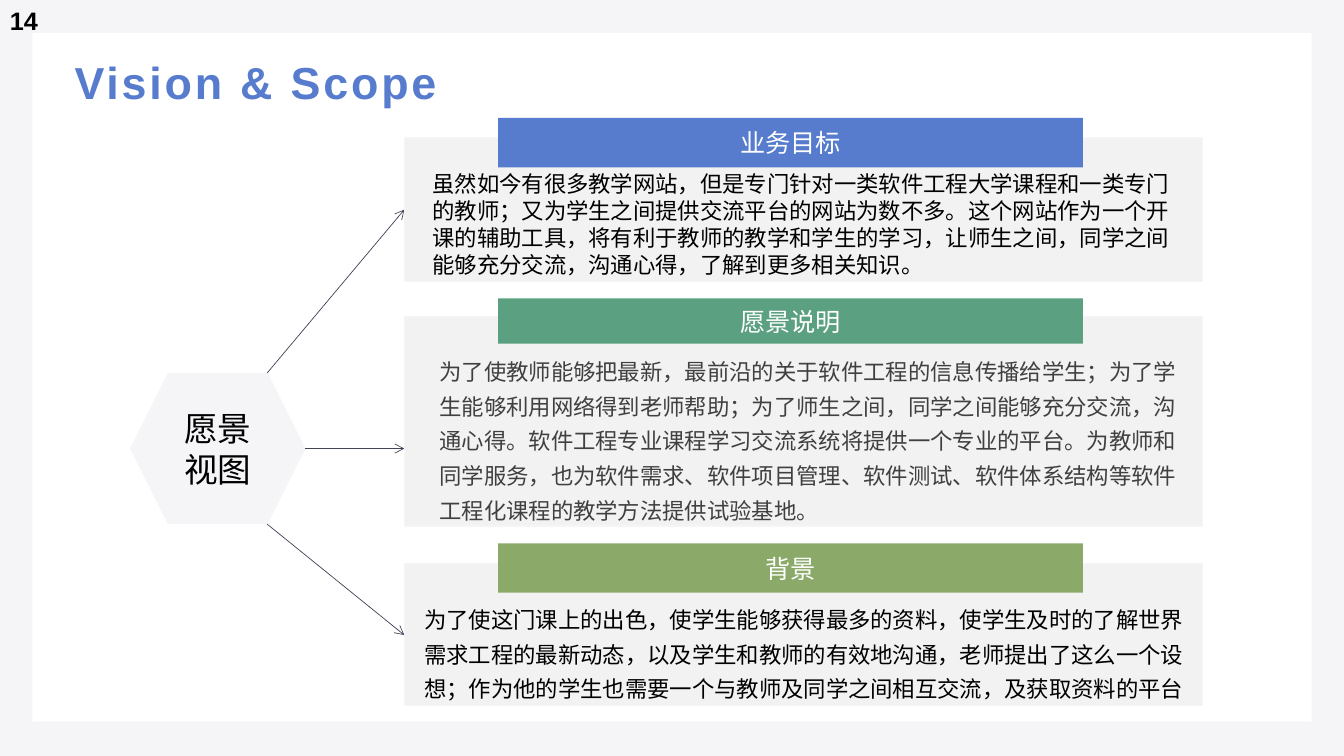
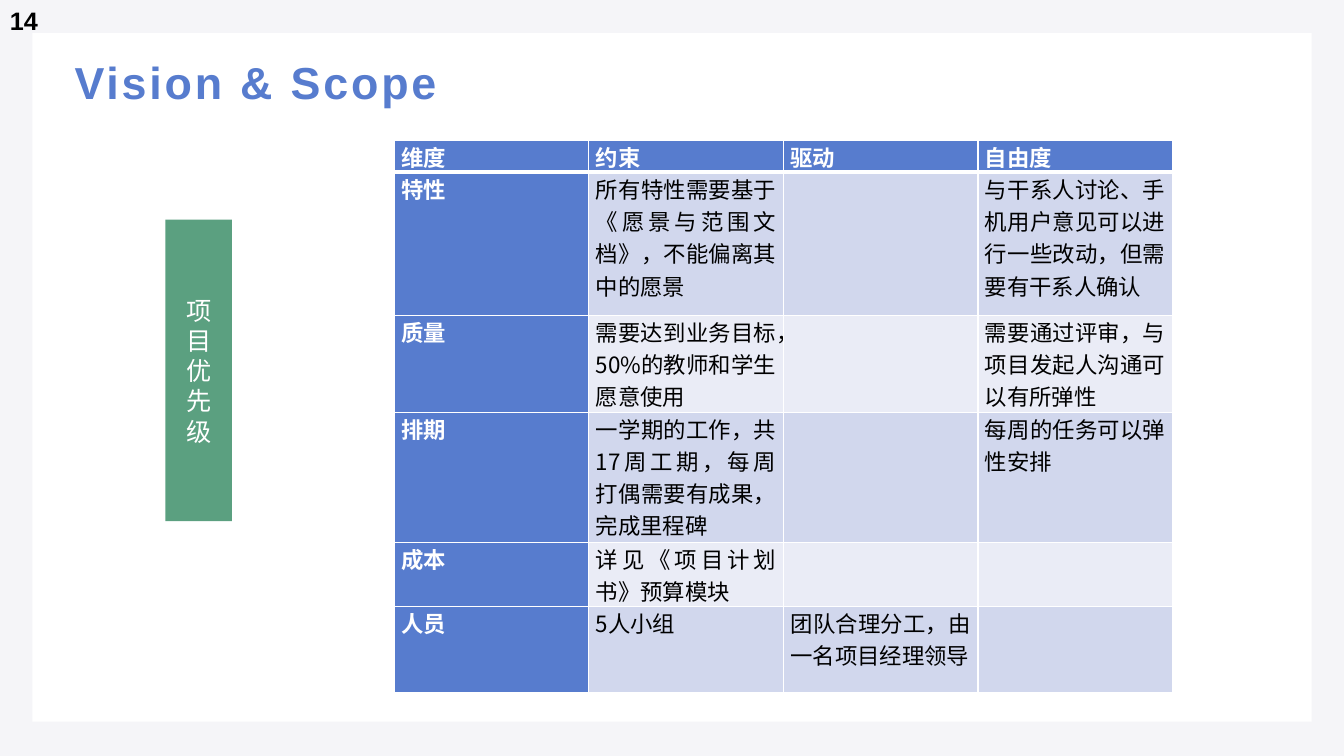
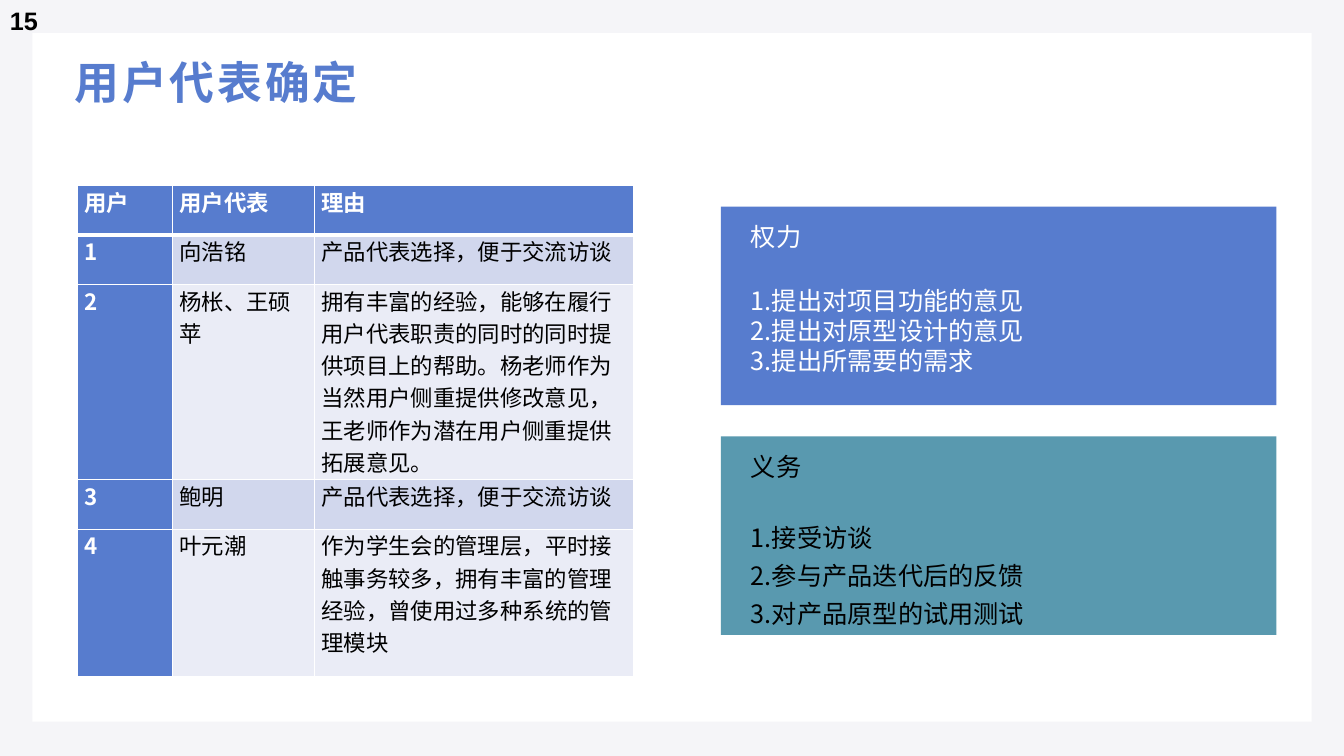
from pptx import Presentation
from pptx.dml.color import RGBColor
from pptx.enum import shapes, text
from pptx.oxml import parse_xml
from pptx.oxml.ns import nsdecls
from pptx.util import Pt

PX = 9144  # EMU in one px, 100 px to the inch

BLUE = RGBColor(0x57, 0x7C, 0xCE)
GREEN = RGBColor(0x5B, 0xA0, 0x80)
OLIVE = RGBColor(0x8B, 0xAA, 0x69)
TEAL = RGBColor(0x59, 0x99, 0xAF)
PALE = RGBColor(0xF5, 0xF5, 0xF8)
GREY = RGBColor(0xF2, 0xF2, 0xF2)
SLATE = RGBColor(0x41, 0x44, 0x55)
DARK = RGBColor(0x40, 0x40, 0x40)
BLACK = RGBColor(0, 0, 0)
WHITE = RGBColor(0xFF, 0xFF, 0xFF)
ODD = RGBColor(0xD1, 0xD7, 0xED)
EVEN = RGBColor(0xEA, 0xEC, 0xF6)

HAN, LATIN = "Noto Sans CJK SC", "Arial"
PLAIN, WIDE, LOOSE = None, 1.25, 1.3  # line spacing
LEFT, MID, FULL = (text.PP_ALIGN.LEFT, text.PP_ALIGN.CENTER,
                   text.PP_ALIGN.JUSTIFY)
RECT, HEX = shapes.MSO_SHAPE.RECTANGLE, shapes.MSO_SHAPE.HEXAGON


def emu(*nums):
    return [n * PX for n in nums]


# Basic parts
def write(frame, words, size, color, font=HAN, bold=False, align=LEFT,
          gap=PLAIN):
    frame.text = words
    for para in frame.paragraphs:
        para.alignment = align
        if gap:
            para.line_spacing = gap
        for run in para.runs:
            run.font.size = Pt(size)
            run.font.bold = bold
            run.font.color.rgb = color
            run.font.name = font
            run._r.get_or_add_rPr().append(
                parse_xml(f'<a:ea {nsdecls("a")} typeface="{font}"/>'))


def shape(parts, box, fill, kind=RECT, line=None):
    item = parts.add_shape(kind, *emu(*box))
    item.shadow.inherit = False
    item.fill.solid()
    item.fill.fore_color.rgb = fill
    if line is None:
        item.line.fill.background()
    else:
        item.line.color.rgb = line
        item.line.width = Pt(1)
    return item


def label(parts, box, fill, words, size=18, color=WHITE, kind=RECT):
    frame = shape(parts, box, fill, kind).text_frame
    frame.word_wrap = True
    frame.vertical_anchor = text.MSO_ANCHOR.MIDDLE
    write(frame, words, size, color, align=MID)


def note(parts, box, words, size, color, **style):
    frame = parts.add_textbox(*emu(*box)).text_frame
    frame.word_wrap = True
    write(frame, words, size, color, **style)
    return frame


def arrow(parts, start, end):
    item = parts.add_connector(shapes.MSO_CONNECTOR.STRAIGHT,
                               *emu(*start, *end))
    item.line.color.rgb = SLATE
    item.line.width = Pt(0.5)
    item.line._get_or_add_ln().append(
        parse_xml(f'<a:tailEnd {nsdecls("a")} type="arrow"/>'))
    item._element.spPr.append(parse_xml(f'<a:effectLst {nsdecls("a")}/>'))


# Frame shared by all slides
def page(deck, title, num, font=LATIN):
    parts = deck.slides.add_slide(deck.slide_layouts[6]).shapes
    shape(parts, (32, 33, 1269, 683), WHITE)
    frame = note(parts, (63, 41, 1053, 79), title, 32, BLUE, font=font,
                 bold=True)
    frame.vertical_anchor = text.MSO_ANCHOR.MIDDLE
    frame.margin_left, frame.margin_right = emu(11, 8)
    frame.margin_top = frame.margin_bottom = 4 * PX
    frame.paragraphs[0].runs[0]._r.get_or_add_rPr().set("spc", "200")
    note(parts, (0, 0, 87, 40), num, 18, BLACK, font=LATIN, bold=True)
    return parts


# Table with a header row and a header column
def edge(cell, top, bottom):
    sides = zip(("lnL", "lnR", "lnT", "lnB"), (1, 1, top, bottom))
    for i, (tag, wide) in enumerate(sides):
        cell._tc.get_or_add_tcPr().insert(i, parse_xml(
            f'<a:{tag} {nsdecls("a")} w="{Pt(wide)}"><a:solidFill>'
            f'<a:srgbClr val="{WHITE}"/></a:solidFill></a:{tag}>'))


def grid(parts, left, top, cols, rows, data, align=LEFT):
    table = parts.add_table(len(rows), len(cols), *emu(
        left, top, sum(cols), sum(rows))).table
    table.first_row = table.horz_banding = False
    for col, wide in zip(table.columns, cols):
        col.width = wide * PX
    for r, (row, high) in enumerate(zip(table.rows, rows)):
        row.height = high * PX
        for c, cell in enumerate(row.cells):
            head = r == 0 or c == 0
            cell.margin_left = cell.margin_right = 7 * PX
            cell.margin_top = cell.margin_bottom = 0
            cell.fill.solid()
            cell.fill.fore_color.rgb = BLUE if head else (EVEN, ODD)[r % 2]
            edge(cell, 3 if r == 1 else 1, 3 if r == 0 else 1)
            if data[r][c]:
                write(cell.text_frame, data[r][c], 16,
                      WHITE if head else BLACK, bold=head, align=align)


# Card: grey box, coloured heading over its top edge, body text
def card(parts, box, fill, head, high, words, body, color, gap):
    x, y, w, h = box
    shape(parts, box, GREY, line=PALE)
    rise = round(high * 0.41)
    label(parts, (x + 93, y - rise, 580, high), fill, head)
    dx, dy, bw, bh = body
    note(parts, (x + dx, y + dy, bw, bh), words, 16, color, gap=gap)


# Panel: coloured box with a heading and a list
def panel(parts, x, y, fill, color, head, items, gap):
    group = parts.add_group_shape().shapes
    shape(group, (x, y, 551, 197), fill)
    note(group, (x + 20, y + 10, 74, 40), head, 18, color)
    note(group, (x + 20, y + 73, 508, 121), "\n".join(items), 18, color,
         gap=gap)


CARDS = [
    ((401, 137, 792, 142), BLUE, "业务目标", 49,
     "虽然如今有很多教学网站，但是专门针对一类软件工程大学课程和一类专门的教师；"
     "又为学生之间提供交流平台的网站为数不多。这个网站作为一个开课的辅助工具，"
     "将有利于教师的教学和学生的学习，让师生之间，同学之间能够充分交流，沟通心得，"
     "了解到更多相关知识。",
     (18, 27, 765, 119), BLACK, PLAIN),
    ((401, 314, 792, 208), GREEN, "愿景说明", 45,
     "为了使教师能够把最新，最前沿的关于软件工程的信息传播给学生；"
     "为了学生能够利用网络得到老师帮助；为了师生之间，同学之间能够充分交流，"
     "沟通心得。软件工程专业课程学习交流系统将提供一个专业的平台。"
     "为教师和同学服务，也为软件需求、软件项目管理、软件测试、软件体系结构等"
     "软件工程化课程的教学方法提供试验基地。",
     (25, 28, 765, 183), DARK, LOOSE),
    ((401, 559, 792, 141), OLIVE, "背景", 49,
     "为了使这门课上的出色，使学生能够获得最多的资料，使学生及时的了解世界"
     "需求工程的最新动态，以及学生和教师的有效地沟通，老师提出了这么一个设想；"
     "作为他的学生也需要一个与教师及同学之间相互交流，及获取资料的平台",
     (10, 29, 780, 112), BLACK, LOOSE),
]

RANKS = [
    ("维度", "约束", "驱动", "自由度"),
    ("特性", "所有特性需要基于《愿景与范围文档》，不能偏离其中的愿景", "",
     "与干系人讨论、手机用户意见可以进行一些改动，但需要有干系人确认"),
    ("质量", "需要达到业务目标，50%的教师和学生愿意使用", "",
     "需要通过评审，与项目发起人沟通可以有所弹性"),
    ("排期", "一学期的工作，共17周工期，每周打偶需要有成果，完成里程碑", "",
     "每周的任务可以弹性安排"),
    ("成本", "详见《项目计划书》预算模块", "", ""),
    ("人员", "5人小组", "团队合理分工，由一名项目经理领导", ""),
]

USERS = [
    ("用户", "用户代表", "理由"),
    ("1", "向浩铭", "产品代表选择，便于交流访谈"),
    ("2", "杨枨、王硕苹",
     "拥有丰富的经验，能够在履行用户代表职责的同时的同时提供项目上的帮助。"
     "杨老师作为当然用户侧重提供修改意见，王老师作为潜在用户侧重提供拓展意见。"),
    ("3", "鲍明", "产品代表选择，便于交流访谈"),
    ("4", "叶元潮",
     "作为学生会的管理层，平时接触事务较多，拥有丰富的管理经验，"
     "曾使用过多种系统的管理模块"),
]


# Slides
def vision(deck):
    parts = page(deck, "Vision & Scope", "14")
    x, y, w, h = 129, 370, 174, 150
    label(parts, (x, y, w, h), PALE, "愿景\n视图", 24, BLACK, HEX)
    corner = x + w - round(h / 4)
    arrow(parts, (corner, y), (401, 208))
    arrow(parts, (x + w, y + h // 2), (401, y + h // 2))
    arrow(parts, (corner, y + h), (401, 630))
    for item in CARDS:
        card(parts, *item)


def ranks(deck):
    parts = page(deck, "Vision & Scope", "14")
    grid(parts, 391, 139, [193] * 4, [32, 142, 96, 129, 64, 85], RANKS, FULL)
    label(parts, (164, 218, 66, 299), GREEN, "项目优先级")


def users(deck):
    parts = page(deck, "用户代表确定", "15", HAN)
    grid(parts, 77, 184, [94, 141, 316], [49, 49, 194, 49, 146], USERS)
    panel(parts, 715, 205, BLUE, WHITE, "权力",
          ["1.提出对项目功能的意见", "2.提出对原型设计的意见",
           "3.提出所需要的需求"], PLAIN)
    panel(parts, 715, 433, TEAL, BLACK, "义务",
          ["1.接受访谈", "2.参与产品迭代后的反馈",
           "3.对产品原型的试用测试"], WIDE)


def main():
    deck = Presentation()
    deck.slide_width, deck.slide_height = emu(1333, 750)
    back = deck.slide_master.background.fill
    back.solid()
    back.fore_color.rgb = PALE
    for build in (vision, ranks, users):
        build(deck)
    deck.save("out.pptx")


if __name__ == "__main__":
    main()
